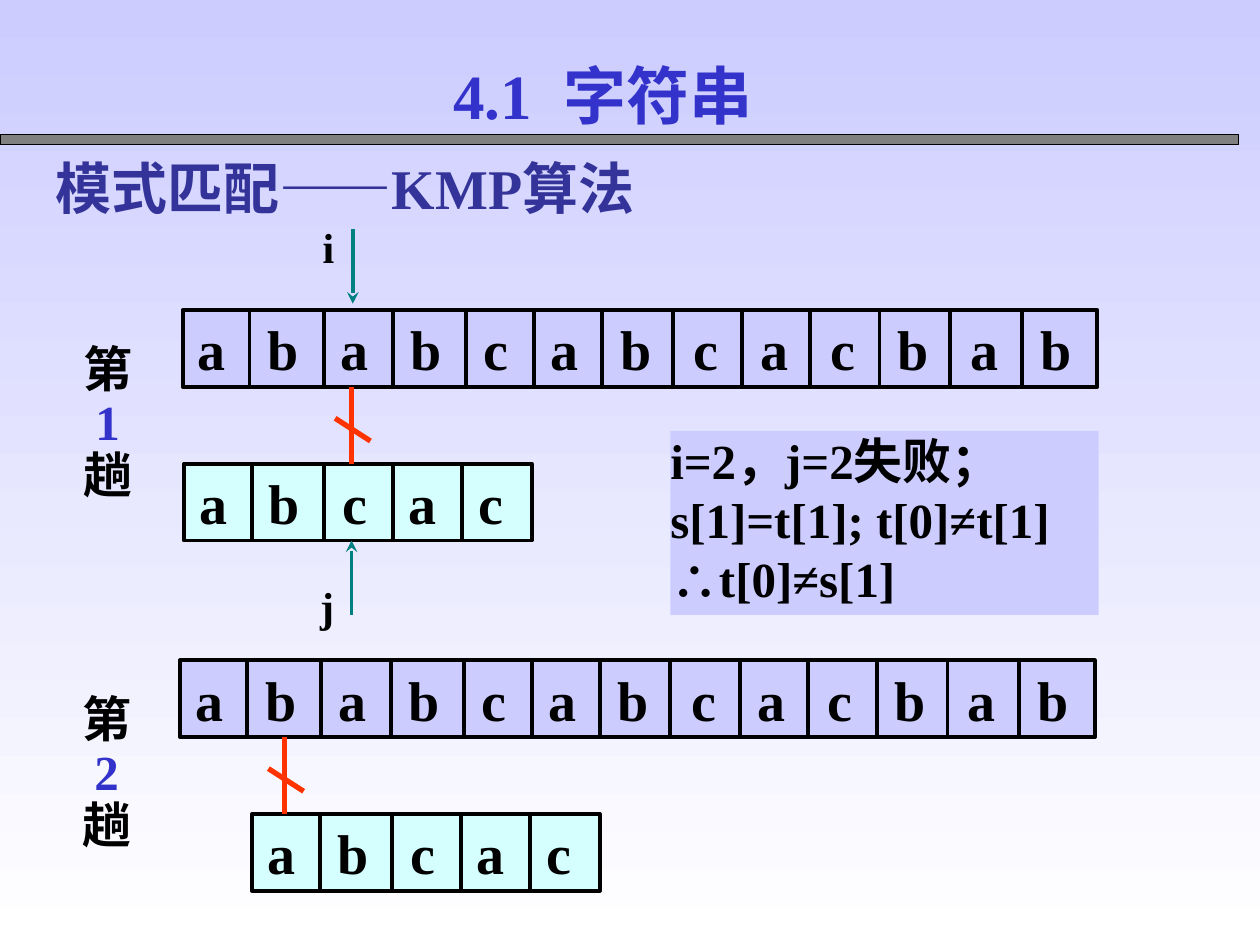
from itertools import accumulate
from lxml.etree import SubElement
from pptx import Presentation
from pptx.dml.color import RGBColor
from pptx.enum.shapes import MSO_CONNECTOR as Connector, MSO_SHAPE as Shape
from pptx.enum.text import MSO_ANCHOR as Anchor, PP_ALIGN as Align
from pptx.oxml.ns import qn
from pptx.util import Inches, Pt

# Content
TITLE = "4.1  字符串"
SUBTITLE = "模式匹配——KMP算法"
NOTE = ["i=2，j=2失败； s[1]=t[1]; t[0]≠t[1]", "∴t[0]≠s[1]"]
TEXT, PATTERN = "ababcabcacbab", "abcac"
# Each pass: number, text row corner, pattern row corner, label corner, mismatch x
PASSES = [
    ("1", (1.45, 2.46), (1.46, 3.68), (0.56, 2.69), 2.79),
    ("2", (1.43, 5.24), (2, 6.46), (0.55, 5.47), 2.26),
]
# Index pointers: name, label corner, arrow x, arrow start y, arrow end y
POINTERS = [("i", (2.56, 1.71), 2.8, 1.82, 2.41), ("j", (2.54, 4.56), 2.79, 4.88, 4.29)]

# Row geometry
TEXT_DIVIDERS = [0.53, 1.12, 1.67, 2.25, 2.79, 3.33, 3.89, 4.44, 4.98, 5.53, 6.09, 6.66]
PATTERN_DIVIDERS = [0.54, 1.11, 1.66, 2.21]
TEXT_WIDTH, PATTERN_WIDTH, ROW_HEIGHT = 7.26, 2.76, 0.61
LETTER_STEP = {"a": 0.555, "b": 0.58, "c": 0.53}

BLACK, BLUE, NAVY, LILAC = "000000", "3333CC", "333399", "CCCCFF"
CYAN, RED, TEAL, GRAY, WHITE = "D5FFFF", "FF3300", "008080", "808080", "FFFFFF"


def rgb(value):
    return RGBColor.from_string(value)


def write(shape, lines, size, color=BLACK, line_colors=None, align=Align.LEFT,
          anchor=Anchor.TOP, insets=(0.1, 0.05, 0.1, 0.05), spacing=None, tabs=()):
    frame = shape.text_frame
    frame.word_wrap = True
    frame.vertical_anchor = anchor
    (frame.margin_left, frame.margin_top,
     frame.margin_right, frame.margin_bottom) = map(Inches, insets)
    for index, line in enumerate(lines):
        paragraph = frame.add_paragraph() if index else frame.paragraphs[0]
        paragraph.alignment = align
        if spacing:
            paragraph.line_spacing = spacing
        if tabs:
            tab_list = SubElement(paragraph._p.get_or_add_pPr(), qn("a:tabLst"))
            for position in tabs:
                SubElement(tab_list, qn("a:tab"), pos=str(Inches(position)), algn="l")
        run = paragraph.add_run()
        run.text = line
        run.font.name, run.font.size, run.font.bold = "Times New Roman", Pt(size), True
        run.font.color.rgb = rgb(line_colors[index] if line_colors else color)


def add_box(slide, left, top, width, height, fill, line_width=0):
    shape = slide.shapes.add_shape(Shape.RECTANGLE, *map(Inches, (left, top, width, height)))
    shape.shadow.inherit = False
    shape.fill.solid()
    shape.fill.fore_color.rgb = rgb(fill)
    if line_width:
        shape.line.color.rgb = rgb(BLACK)
        shape.line.width = Pt(line_width)
    else:
        shape.line.fill.background()
    return shape


def add_text(slide, left, top, width, height, lines, size, **options):
    box = slide.shapes.add_textbox(*map(Inches, (left, top, width, height)))
    write(box, lines, size, **options)


def add_line(slide, x1, y1, x2, y2, color=BLACK, width=2.25, arrow=False):
    line = slide.shapes.add_connector(Connector.STRAIGHT, *map(Inches, (x1, y1, x2, y2)))
    line.line.color.rgb = rgb(color)
    line.line.width = Pt(width)
    if arrow:
        SubElement(line.line._get_or_add_ln(), qn("a:tailEnd"), type="stealth")
    SubElement(line._element.spPr, qn("a:effectLst"))


def add_row(slide, corner, letters, width, dividers, fill):
    left, top = corner
    box = add_box(slide, left, top, width, ROW_HEIGHT, fill, 2.25)
    tabs = list(accumulate(LETTER_STEP[letter] for letter in letters[:-1]))
    write(box, ["\t".join(letters)], 32, anchor=Anchor.MIDDLE,
          insets=(0.12, 0, 0.02, 0), tabs=tabs)
    for offset in dividers:
        add_line(slide, left + offset, top, left + offset, top + ROW_HEIGHT)


def add_pass(slide, number, text_corner, pattern_corner, label_corner, mismatch_x):
    add_row(slide, text_corner, TEXT, TEXT_WIDTH, TEXT_DIVIDERS, LILAC)
    add_row(slide, pattern_corner, PATTERN, PATTERN_WIDTH, PATTERN_DIVIDERS, CYAN)
    add_text(slide, *label_corner, 0.59, 1.36, ["第", number, "趟"], 28,
             line_colors=[BLACK, BLUE, BLACK], align=Align.CENTER, spacing=0.9,
             insets=(0.05, 0.05, 0.05, 0.05))
    # Struck-out link between the two mismatched letters
    bottom = text_corner[1] + ROW_HEIGHT
    add_line(slide, mismatch_x, bottom, mismatch_x, pattern_corner[1], RED, 3)
    add_line(slide, mismatch_x - 0.13, bottom + 0.25,
             mismatch_x + 0.15, bottom + 0.43, RED, 3)


def add_title(slide):
    title = slide.shapes.title
    title.left, title.top, title.width, title.height = map(Inches, (2.93, 0.4, 3.71, 0.7))
    write(title, [TITLE], 36, color=BLUE, align=Align.CENTER)
    properties = title.text_frame.paragraphs[0].runs[0]._r.get_or_add_rPr()
    effects = properties.makeelement(qn("a:effectLst"), {})
    properties.find(qn("a:solidFill")).addnext(effects)
    shadow = SubElement(effects, qn("a:outerShdw"), dist="28398", dir="2700000")
    SubElement(shadow, qn("a:srgbClr"), val=GRAY)


def main():
    presentation = Presentation()
    presentation.slide_width, presentation.slide_height = Inches(10), Inches(7.5)
    slide = presentation.slides.add_slide(presentation.slide_layouts[5])

    # Background, top to bottom
    fill = slide.background.fill
    fill.gradient()
    fill.gradient_angle = 270
    for stop, color in zip(fill.gradient_stops, (LILAC, WHITE)):
        stop.color.rgb = rgb(color)

    # Heading
    add_box(slide, 0, 1.07, 9.83, 0.08, GRAY, 0.75)
    add_title(slide)
    add_text(slide, 0.34, 1.17, 8.17, 0.64, [SUBTITLE], 32, color=NAVY)

    # Explanation
    write(add_box(slide, 5.32, 3.42, 3.4, 1.46, LILAC), NOTE, 28, insets=(0, 0, 0, 0))

    # Matching passes and index pointers
    for matching_pass in PASSES:
        add_pass(slide, *matching_pass)
    for name, corner, x, start, end in POINTERS:
        add_line(slide, x, start, x, end, TEAL, arrow=True)
        add_text(slide, *corner, 0.25, 0.5, [name], 24, insets=(0, 0.05, 0, 0.05))

    presentation.save("out.pptx")


if __name__ == "__main__":
    main()
